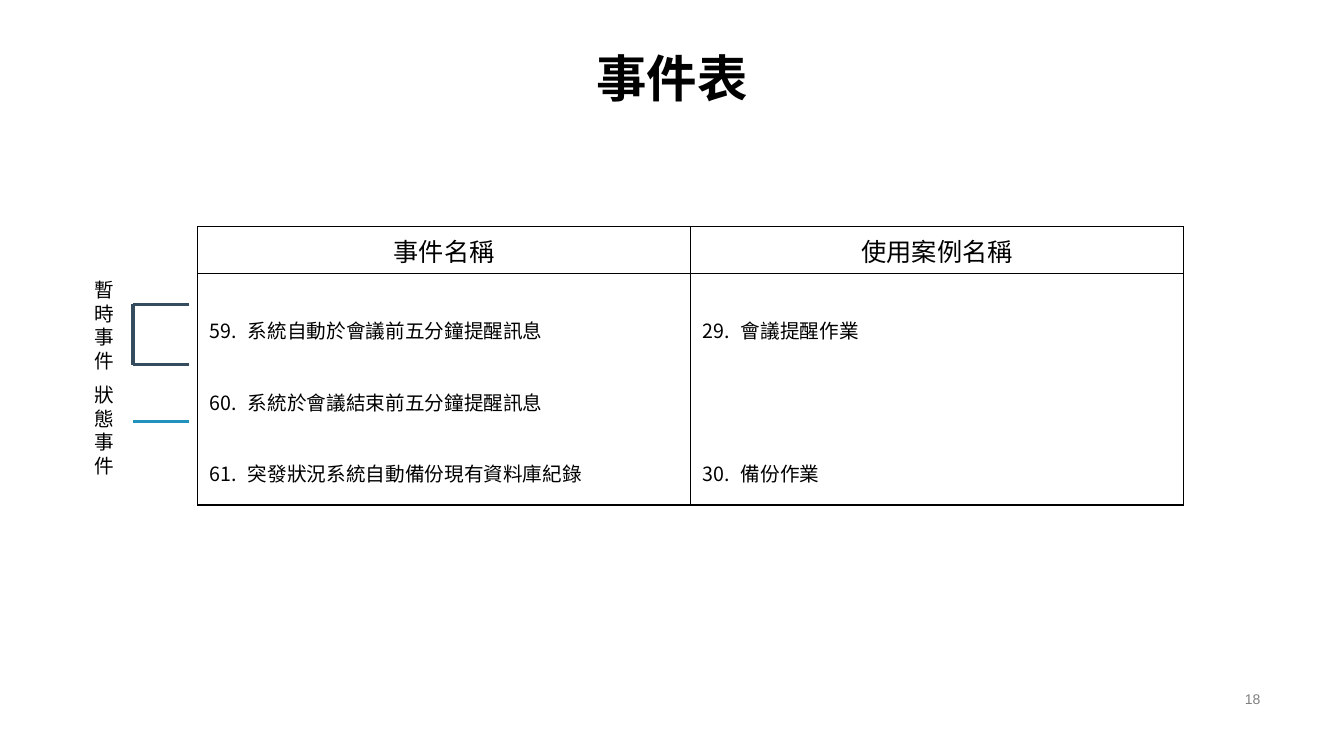
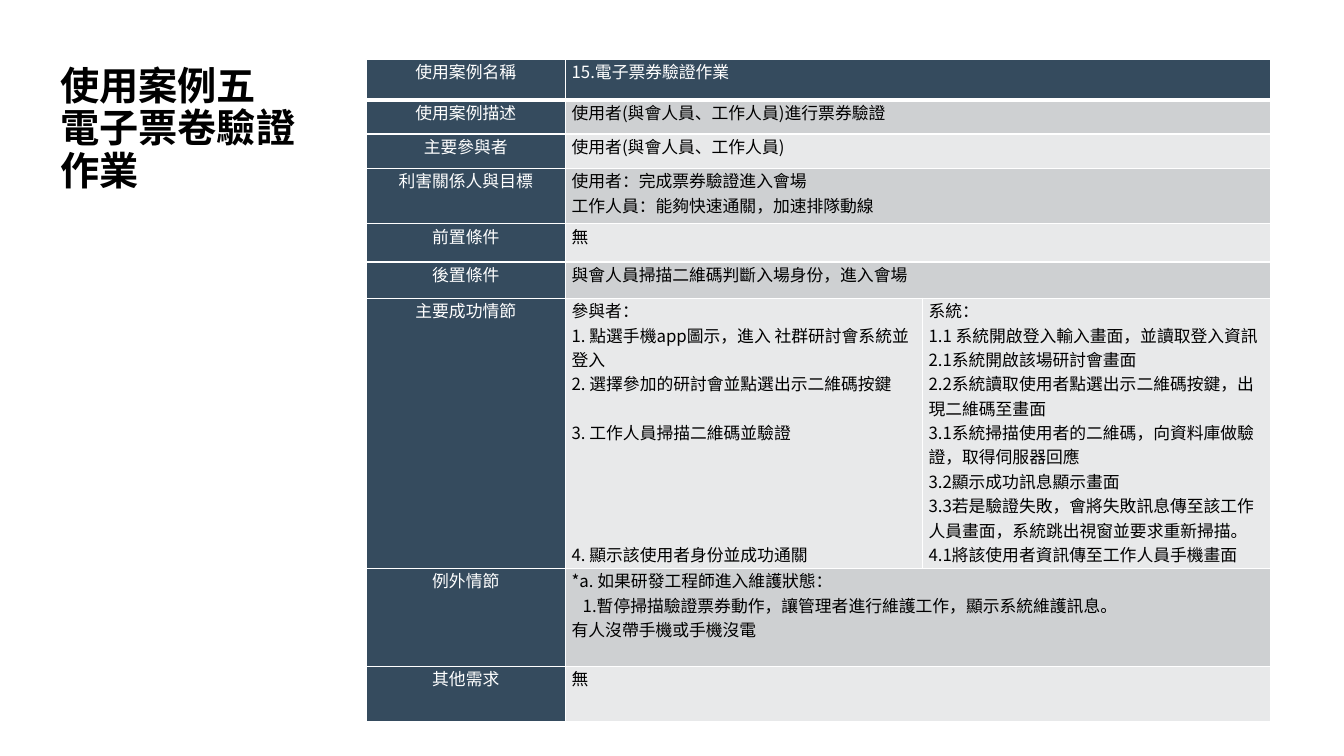
"""Build the event table and the use case table slides."""
from lxml.etree import SubElement
from pptx import Presentation
from pptx.dml.color import RGBColor
from pptx.enum.shapes import MSO_CONNECTOR as Connector
from pptx.enum.text import MSO_ANCHOR as Anchor, PP_ALIGN as Align
from pptx.oxml import parse_xml
from pptx.oxml.ns import nsdecls, qn
from pptx.util import Inches, Pt

CJK = "Noto Sans CJK SC"
BLACK, WHITE, GREY = "000000", "FFFFFF", "808080"
NAVY, BLUE = "354B5E", "2192BC"
BANDS = ["CED0D2", "E8E9EA"]
TITLE = {"name": "Arial", "bold": True}
LABEL = {"name": "Arial", "size": Pt(14)}
NUMBER = {"name": "Arial", "size": Pt(10)}
HEADING = {"name": CJK, "size": Pt(18), "bold": False}
EVENT = {"name": CJK, "size": Pt(14), "bold": False}
CASE = {"name": CJK, "size": Pt(12), "bold": False}
CASE_LINE = 17.4
EVENT_LINE = 51

EVENTS = ["系統自動於會議前五分鐘提醒訊息", "系統於會議結束前五分鐘提醒訊息",
          "突發狀況系統自動備份現有資料庫紀錄"]
EVENT_CASES = ["會議提醒作業", "備份作業"]
CASE_ROWS = [
    (0.4, "使用案例名稱", ["15.電子票券驗證作業"]),
    (0.34, "使用案例描述", ["使用者(與會人員、工作人員)進行票券驗證"]),
    (0.34, "主要參與者", ["使用者(與會人員、工作人員)"]),
    (0.55, "利害關係人與目標", ["使用者：完成票券驗證進入會場",
                        "工作人員：能夠快速通關，加速排隊動線"]),
    (0.38, "前置條件", ["無"]),
    (0.36, "後置條件", ["與會人員掃描二維碼判斷入場身份，進入會場"]),
    (2.68, "主要成功情節", ["參與者：",
                      "1. 點選手機app圖示，進入 社群研討會系統並登入",
                      "2. 選擇參加的研討會並點選出示二維碼按鍵",
                      "3. 工作人員掃描二維碼並驗證",
                      "4. 顯示該使用者身份並成功通關"]),
    (0.97, "例外情節", ["*a. 如果研發工程師進入維護狀態：",
                    "1.暫停掃描驗證票券動作，讓管理者進行維護工作，顯示系統維護訊息。",
                    "有人沒帶手機或手機沒電"]),
    (0.55, "其他需求", ["無"]),
]
SCENARIO_ROW, EXCEPTION_ROW = 6, 7
SYSTEM_STEPS = [
    "系統：",
    "1.1 系統開啟登入輸入畫面，並讀取登入資訊",
    "2.1系統開啟該場研討會畫面",
    "2.2系統讀取使用者點選出示二維碼按鍵，出現二維碼至畫面",
    "3.1系統掃描使用者的二維碼，向資料庫做驗證，取得伺服器回應",
    "3.2顯示成功訊息顯示畫面",
    "3.3若是驗證失敗，會將失敗訊息傳至該工作人員畫面，系統跳出視窗並要求重新掃描。",
    "4.1將該使用者資訊傳至工作人員手機畫面",
]


def rgb(value):
    """Turn a hex string into a colour."""
    return RGBColor.from_string(value)


def write(frame, lines, style, color=BLACK, align=Align.LEFT, spacing=None, start=None):
    """Write one paragraph per line, numbered from start if given."""
    for index, line in enumerate(lines):
        paragraph = frame.paragraphs[0] if index == 0 else frame.add_paragraph()
        if start:
            properties = paragraph._p.get_or_add_pPr()
            properties.set("marL", str(Inches(0.38)))
            properties.set("indent", str(Inches(-0.38)))
            SubElement(properties, qn("a:buAutoNum"), type="arabicPeriod", startAt=str(start))
        paragraph.alignment = align
        paragraph.line_spacing = spacing
        run = paragraph.add_run()
        run.text = line
        for key, value in style.items():
            setattr(run.font, key, value)
        run.font.color.rgb = rgb(color)
        SubElement(run._r.get_or_add_rPr(), qn("a:ea"), typeface=CJK)


def add_text(slide, box, lines, style, anchor=Anchor.TOP, **options):
    """Place a wrapping text box."""
    frame = slide.shapes.add_textbox(*map(Inches, box)).text_frame
    frame.word_wrap = True
    frame.vertical_anchor = anchor
    write(frame, lines, style, **options)


def add_title(slide, box, lines, size, align=Align.LEFT):
    """Place a slide title that sits on the bottom of its box."""
    add_text(slide, box, lines, {**TITLE, "size": Pt(size)}, Anchor.BOTTOM,
             align=align, spacing=0.9)


def add_line(slide, start, end, color):
    """Draw a straight line without a shadow."""
    ends = map(Inches, (*start, *end))
    line = slide.shapes.add_connector(Connector.STRAIGHT, *ends)
    line.line.color.rgb = rgb(color)
    line.line.width = Pt(2.25)
    SubElement(line._element.spPr, qn("a:effectLst"))


def add_grid(slide, left, top, widths, heights):
    """Place an unstyled table with the given columns and rows."""
    box = map(Inches, (left, top, sum(widths), sum(heights)))
    grid = slide.shapes.add_table(len(heights), len(widths), *box).table
    grid.first_row = grid.horz_banding = False
    for column, width in zip(grid.columns, widths):
        column.width = Inches(width)
    for row, height in zip(grid.rows, heights):
        row.height = Inches(height)
    return grid


def style_cell(cell, fill, border, side, edge=0, bottom=1):
    """Set the fill, insets and borders of a cell."""
    if fill:
        cell.fill.solid()
        cell.fill.fore_color.rgb = rgb(fill)
    else:
        cell.fill.background()
    cell.margin_left = cell.margin_right = Inches(side)
    cell.margin_top = cell.margin_bottom = Inches(edge)
    properties = cell._tc.get_or_add_tcPr()
    for index, (name, width) in enumerate(zip("LRTB", (1, 1, 1, bottom))):
        properties.insert(index, parse_xml(
            f'<a:ln{name} {nsdecls("a")} w="{Pt(width)}"><a:solidFill>'
            f'<a:srgbClr val="{border}"/></a:solidFill></a:ln{name}>'))


def event_table(slide, left, top):
    """Place the table of events and their use cases."""
    grid = add_grid(slide, left, top, [4.89, 4.89], [0.46, 2.3])
    columns = [("事件名稱", EVENTS, 59), ("使用案例名稱", EVENT_CASES, 29)]
    for index, (heading, items, start) in enumerate(columns):
        head, body = grid.cell(0, index), grid.cell(1, index)
        style_cell(head, None, BLACK, 0.09, 0.05)
        head.vertical_anchor = Anchor.MIDDLE
        write(head.text_frame, [heading], HEADING, align=Align.CENTER)
        style_cell(body, None, BLACK, 0.12)
        write(body.text_frame, items, EVENT, spacing=2.5, start=start)
    grid.cell(1, 1).text_frame.paragraphs[1].space_before = Pt(EVENT_LINE)


def event_marks(slide, left, top):
    """Place the event kinds and the lines that tie them to the table."""
    for offset, kind in [(0, "暫時事件"), (1.04, "狀態事件")]:
        add_text(slide, (left, top + offset, 0.39, 1.04), [kind], LABEL)
    spine, tip = left + 0.48, left + 1.03
    upper, lower, state = top + 0.31, top + 0.91, top + 1.47
    for start, end, color in [((spine, upper), (tip, upper), NAVY),
                              ((spine, lower), (tip, lower), NAVY),
                              ((spine, upper), (spine, lower), NAVY),
                              ((spine, state), (tip, state), BLUE)]:
        add_line(slide, start, end, color)


def case_table(slide, left, top):
    """Place the table that describes one use case."""
    grid = add_grid(slide, left, top, [1.98, 3.54, 3.45], [row[0] for row in CASE_ROWS])
    for index, (_, heading, lines) in enumerate(CASE_ROWS):
        band = BANDS[(index - 1) % 2] if index else NAVY
        for column, fill in enumerate([NAVY, band, band]):
            style_cell(grid.cell(index, column), fill, WHITE, 0.06, bottom=1 if index else 3)
        if index != SCENARIO_ROW:
            grid.cell(index, 1).merge(grid.cell(index, 2))
        write(grid.cell(index, 0).text_frame, [heading], CASE, WHITE, Align.CENTER)
        write(grid.cell(index, 1).text_frame, lines, CASE, BLACK if index else WHITE)
    write(grid.cell(SCENARIO_ROW, 2).text_frame, SYSTEM_STEPS, CASE)
    actor_steps = grid.cell(SCENARIO_ROW, 1).text_frame.paragraphs
    for step, skipped in [(3, 1), (4, 4)]:
        actor_steps[step].space_before = Pt(CASE_LINE * skipped)
    pause = grid.cell(EXCEPTION_ROW, 1).text_frame.paragraphs[1]
    pause._p.get_or_add_pPr().set("marL", str(Inches(0.11)))


def event_slide(slide):
    """Fill the slide with the event table."""
    add_title(slide, (0.73, 0, 11.87, 1.12), ["事件表"], 36, Align.CENTER)
    event_table(slide, 1.96, 2.25)
    event_marks(slide, 0.84, 2.71)
    add_text(slide, (9.42, 6.82, 3.18, 0.23), ["18"], NUMBER, Anchor.MIDDLE,
             color=GREY, align=Align.RIGHT)


def case_slide(slide):
    """Fill the slide with the use case table."""
    case_table(slide, 3.63, 0.59)
    add_title(slide, (0.5, 0.6, 2.68, 1.37), ["使用案例五", "電子票卷驗證作業"], 28)


def main():
    """Build and save the presentation."""
    deck = Presentation()
    deck.slide_width, deck.slide_height = Inches(13.33), Inches(7.5)
    for fill_slide in (event_slide, case_slide):
        fill_slide(deck.slides.add_slide(deck.slide_layouts[6]))
    deck.save("out.pptx")


if __name__ == "__main__":
    main()
